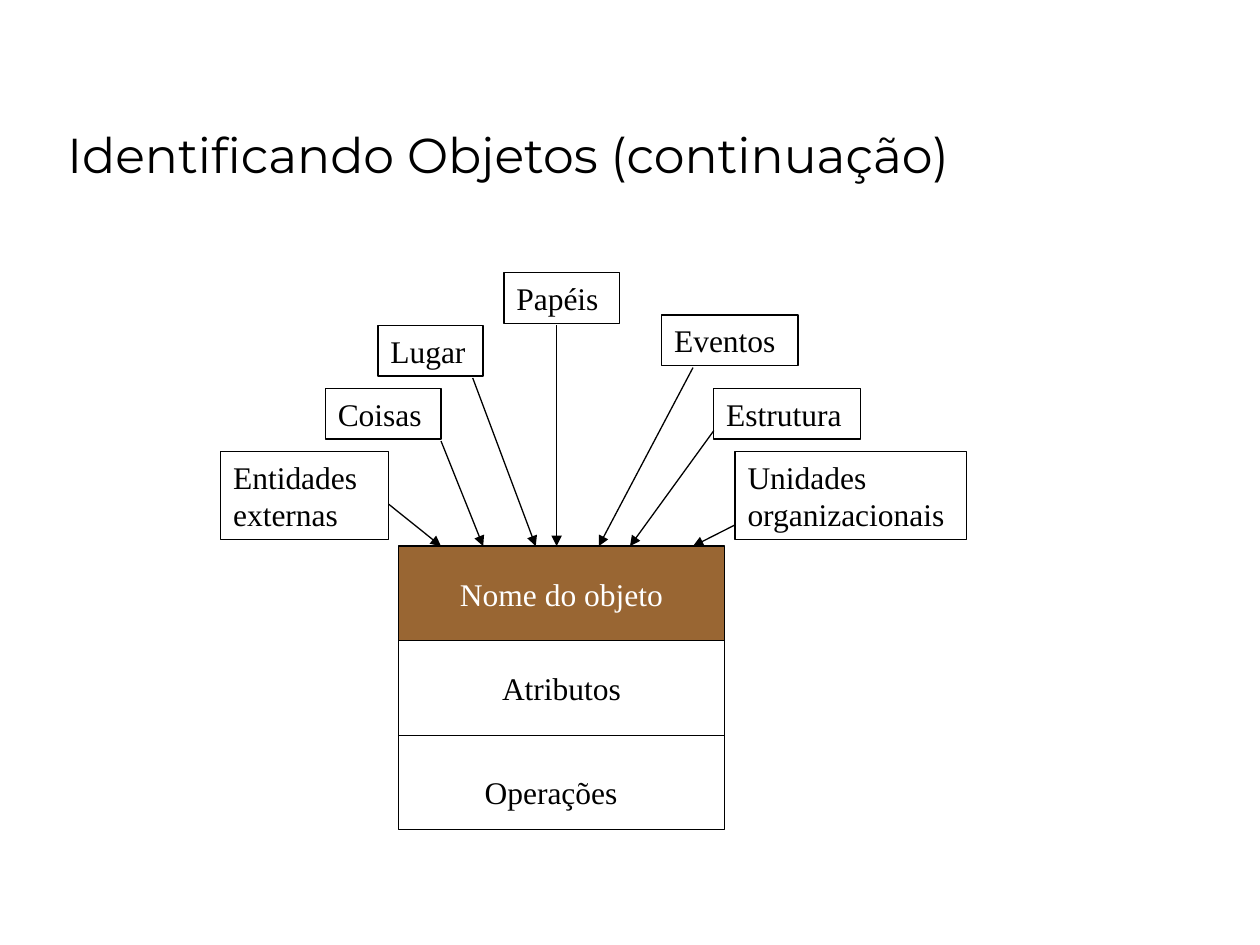
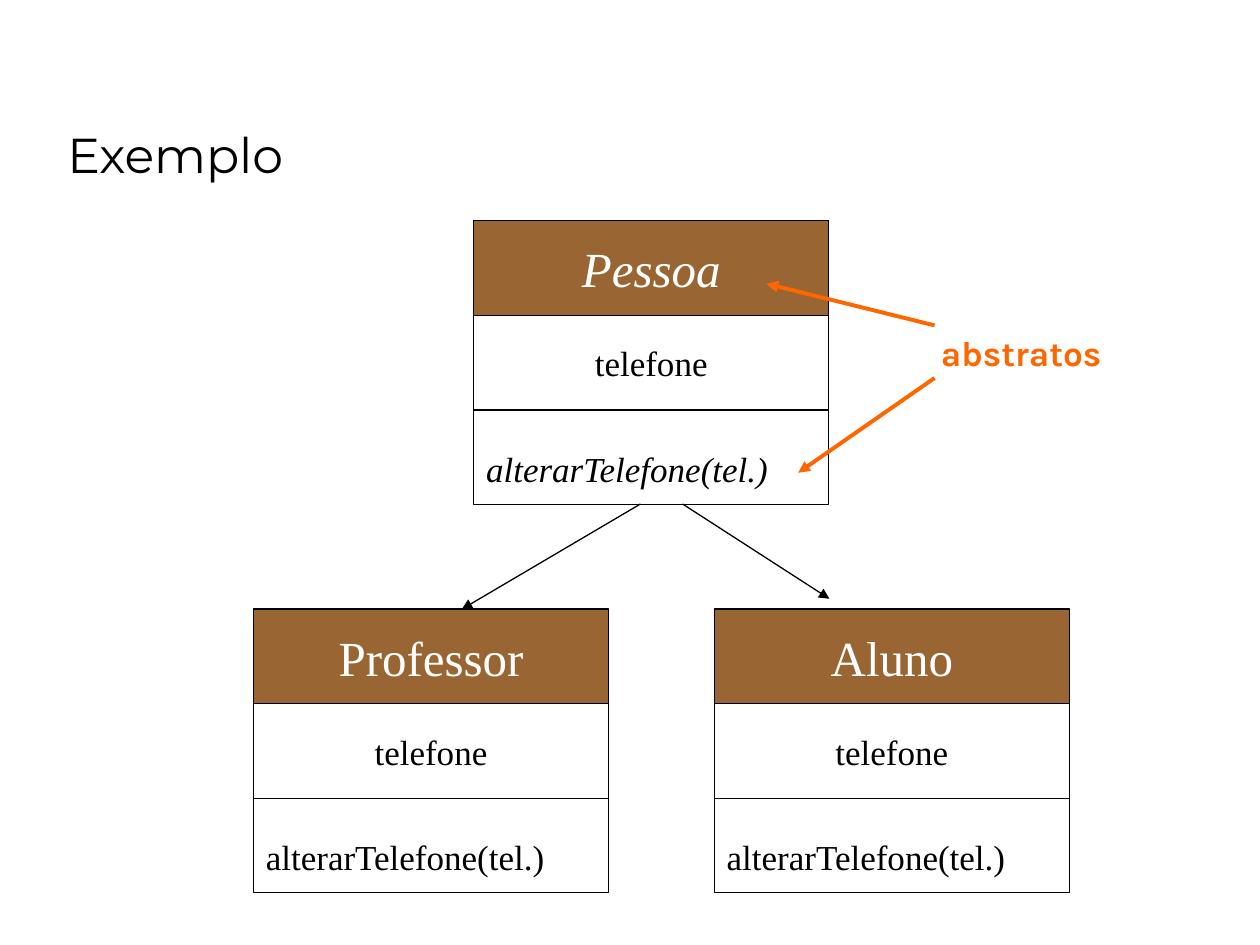
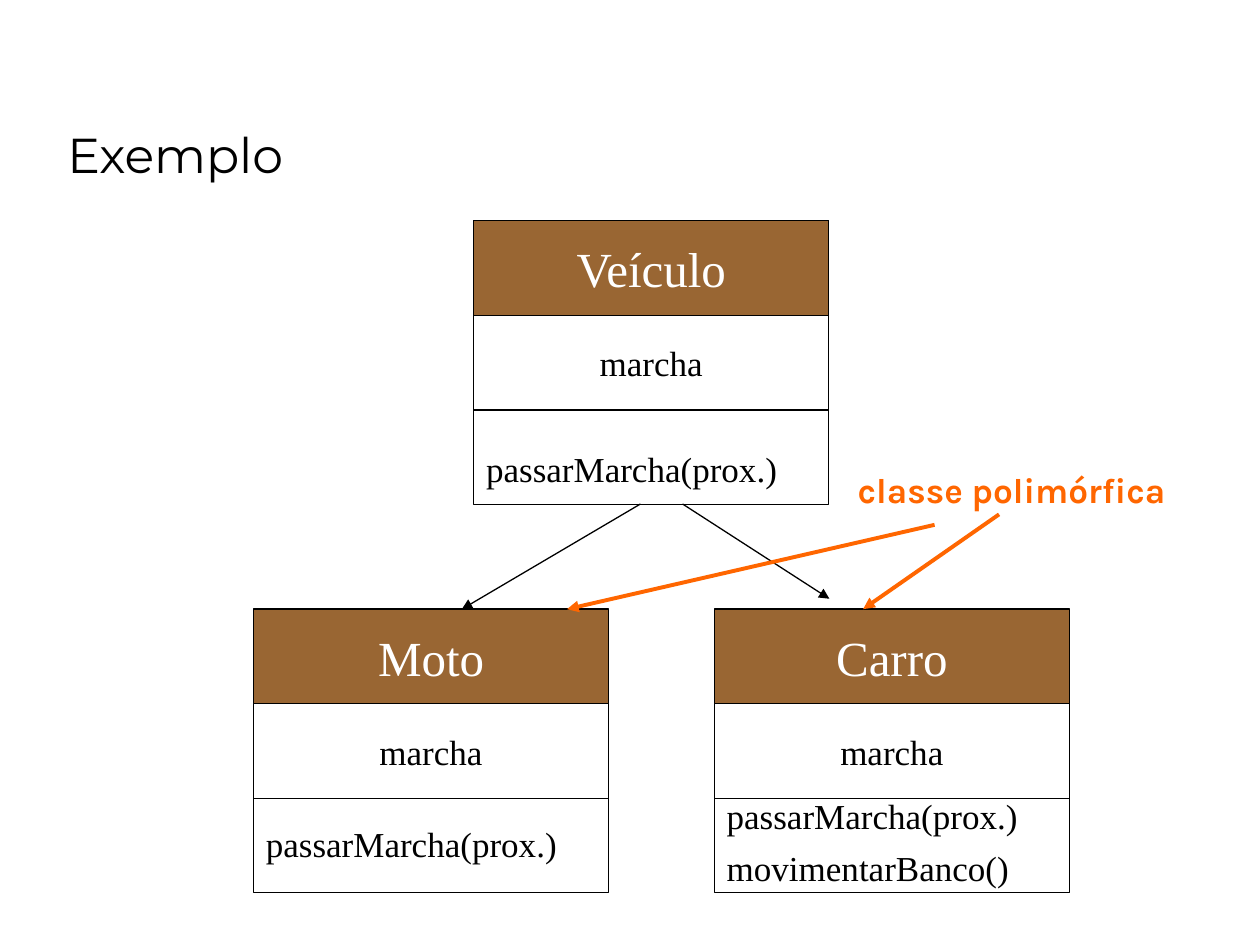
from lxml import etree
from pptx import Presentation
from pptx.dml.color import RGBColor
from pptx.enum.shapes import MSO_CONNECTOR, MSO_SHAPE
from pptx.enum.text import MSO_ANCHOR, MSO_AUTO_SIZE, PP_ALIGN
from pptx.oxml.ns import qn
from pptx.util import Cm, Pt

RECTANGLE = MSO_SHAPE.RECTANGLE
STRAIGHT = MSO_CONNECTOR.STRAIGHT
LEFT, CENTER, RIGHT = PP_ALIGN.LEFT, PP_ALIGN.CENTER, PP_ALIGN.RIGHT
TOP, MIDDLE, BOTTOM = MSO_ANCHOR.TOP, MSO_ANCHOR.MIDDLE, MSO_ANCHOR.BOTTOM
FIT_SHAPE = MSO_AUTO_SIZE.SHAPE_TO_FIT_TEXT

BLACK, WHITE, BROWN, ORANGE = "000000", "FFFFFF", "996633", "FF6600"
TITLE_FONT, DIAGRAM_FONT, NOTE_FONT = "Montserrat", "Times New Roman", "Karla"

CLASS_HEIGHT = 5.72
CLASS_WIDTH = 7.16
PARENT_LEFT, PARENT_TOP = 9.55, 4.45
CHILD_LEFTS, CHILD_TOP = (5.11, 14.4), 12.28
OBJECT_TOP = 11.01

SOURCES = [
    ("Unidades organizacionais", (14.82, 9.1, 4.66, 1.78), (14.82, 10.58), 13.97),
    ("Estrutura", (14.39, 7.83, 2.96, 1.02), (14.39, 8.68), 12.7),
    ("Lugar", (7.62, 6.56, 2.12, 1.02), (9.53, 7.62), 10.8),
    ("Entidades externas", (4.45, 9.1, 3.39, 1.78), (7.83, 10.16), 8.89),
    ("Papéis", (10.16, 5.5, 2.33, 1.02), (11.22, 6.56), 11.22),
    ("Eventos", (13.34, 6.35, 2.75, 1.02), (13.97, 7.41), 12.07),
    ("Coisas", (6.56, 7.83, 2.33, 1.02), (8.89, 8.89), 9.74),
]


def colour(value):
    return RGBColor.from_string(value)


def write(shape, lines, size, text_colour=BLACK, font=DIAGRAM_FONT, align=LEFT,
          anchor=TOP, wrap=True, bold=False, italic=False):
    frame = shape.text_frame
    frame.word_wrap = wrap
    frame.vertical_anchor = anchor
    for index, line in enumerate(lines):
        para = frame.add_paragraph() if index else frame.paragraphs[0]
        para.text = line
        para.alignment = align
        para.font.name = font
        para.font.size = Pt(size)
        para.font.bold = bold
        para.font.italic = italic
        para.font.color.rgb = colour(text_colour)
        if len(lines) > 1:
            para.line_spacing = 0.7
        if index:
            para.space_before = Pt(12.5)


def add_text(shapes, place, lines, size, **style):
    box = shapes.add_textbox(*map(Cm, place))
    write(box, lines, size, **style)
    return box


def add_box(shapes, place, fill=None):
    box = shapes.add_shape(RECTANGLE, *map(Cm, place))
    box.shadow.inherit = False
    if fill:
        box.fill.solid()
        box.fill.fore_color.rgb = colour(fill)
    else:
        box.fill.background()
    box.line.color.rgb = colour(BLACK)
    box.line.width = Pt(0.75)
    return box


def add_line(shapes, start, end, line_colour=BLACK, width=0.75, arrow=False):
    line = shapes.add_connector(STRAIGHT, *map(Cm, (*start, *end)))
    line.line.color.rgb = colour(line_colour)
    line.line.width = Pt(width)
    if arrow:
        etree.SubElement(line.line._get_or_add_ln(), qn("a:tailEnd"), type="triangle")
    etree.SubElement(line._element.spPr, qn("a:effectLst"))


def add_class(page, left, top, name, attribute, operations, width=CLASS_WIDTH,
              name_size=28, size=20, abstract=False, operation_shift=(0, 4.44),
              operation_width=7.62):
    shapes = page.shapes.add_group_shape().shapes
    row = CLASS_HEIGHT / 3
    body = add_box(shapes, (left, top, width, CLASS_HEIGHT), WHITE)
    write(body, [attribute], size, align=CENTER, anchor=MIDDLE, wrap=False)
    for divider in (top + row, top + 2 * row):
        add_line(shapes, (left, divider), (left + width, divider))
    header = add_box(shapes, (left, top, width, row), BROWN)
    write(header, [name], name_size, WHITE, align=CENTER, anchor=MIDDLE,
          wrap=False, italic=abstract)
    shift_x, shift_y = operation_shift
    height = 1.02 if size < 20 else 1.11 if len(operations) == 1 else 1.88
    place = (left + shift_x, top + shift_y, operation_width, height)
    add_text(shapes, place, operations, size, italic=abstract)


def add_inheritance(page):
    add_line(page.shapes, (12.91, 10.16), (9.31, CHILD_TOP), arrow=True)
    add_line(page.shapes, (13.76, 10.16), (16.72, 12.07), arrow=True)


def add_note(page, place, text, arrows):
    note = add_text(page.shapes, place, [text], 20, text_colour=ORANGE,
                    font=NOTE_FONT, align=RIGHT, wrap=False, bold=True)
    note.text_frame.auto_size = FIT_SHAPE
    for start, end in arrows:
        add_line(page.shapes, start, end, ORANGE, 2.25, arrow=True)


def add_page(deck, title):
    page = deck.slides.add_slide(deck.slide_layouts[6])
    add_text(page.shapes, (1.11, 0.64, 21.59, 3.18), [title], 28,
             font=TITLE_FONT, anchor=BOTTOM)
    return page


def add_objects_page(deck):
    page = add_page(deck, "Identificando Objetos (continuação)")
    add_class(page, 8.04, OBJECT_TOP, "Nome do objeto", "Atributos", ["Operações"],
              width=6.56, name_size=18, size=18, operation_shift=(1.48, 4.44),
              operation_width=4.87)
    for text, place, start, target in SOURCES:
        write(add_box(page.shapes, place), [text], 18)
        add_line(page.shapes, start, (target, OBJECT_TOP), arrow=True)


def add_abstract_page(deck):
    page = add_page(deck, "Exemplo")
    operations = ["alterarTelefone(tel.)"]
    add_class(page, PARENT_LEFT, PARENT_TOP, "Pessoa", "telefone", operations,
              abstract=True)
    for left, name in zip(CHILD_LEFTS, ("Professor", "Aluno")):
        add_class(page, left, CHILD_TOP, name, "telefone", operations)
    add_inheritance(page)
    add_note(page, (18.57, 6.56, 3.89, 1.11), "abstratos",
             [((18.84, 6.56), (15.45, 5.72)), ((18.84, 7.62), (16.09, 9.53))])


def add_polymorphic_page(deck):
    page = add_page(deck, "Exemplo")
    shift_gear = "passarMarcha(prox.)"
    add_class(page, PARENT_LEFT, PARENT_TOP, "Veículo", "marcha", [shift_gear])
    children = [("Moto", [shift_gear], 4.18),
                ("Carro", [shift_gear, "movimentarBanco()"], 3.85)]
    for left, (name, operations, shift) in zip(CHILD_LEFTS, children):
        add_class(page, left, CHILD_TOP, name, "marcha", operations,
                  operation_shift=(0, shift))
    add_inheritance(page)
    add_note(page, (16.89, 9.31, 6.86, 1.11), "classe polimórfica",
             [((18.84, 10.58), (11.43, CHILD_TOP)), ((20.14, 10.37), (17.4, CHILD_TOP))])


def main():
    deck = Presentation()
    deck.slide_width, deck.slide_height = Cm(25.4), Cm(19.05)
    add_objects_page(deck)
    add_abstract_page(deck)
    add_polymorphic_page(deck)
    deck.save("out.pptx")


if __name__ == "__main__":
    main()
